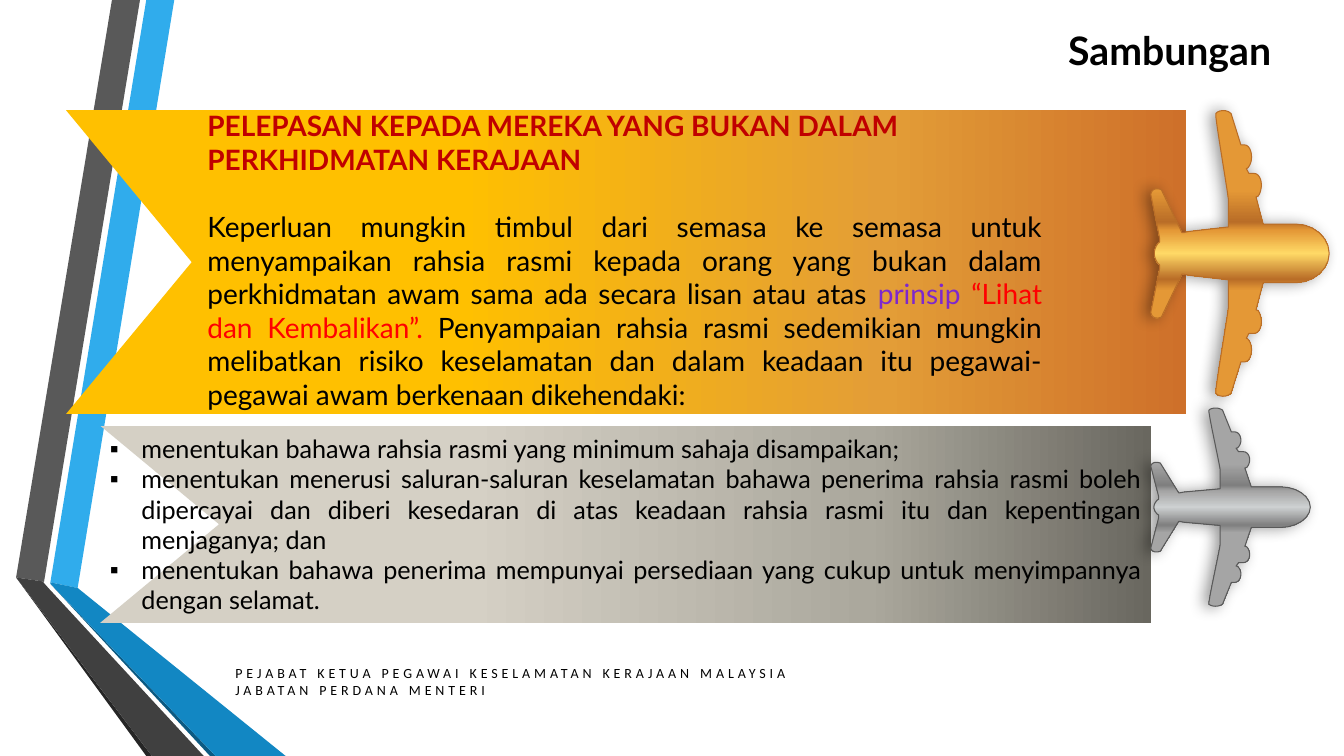
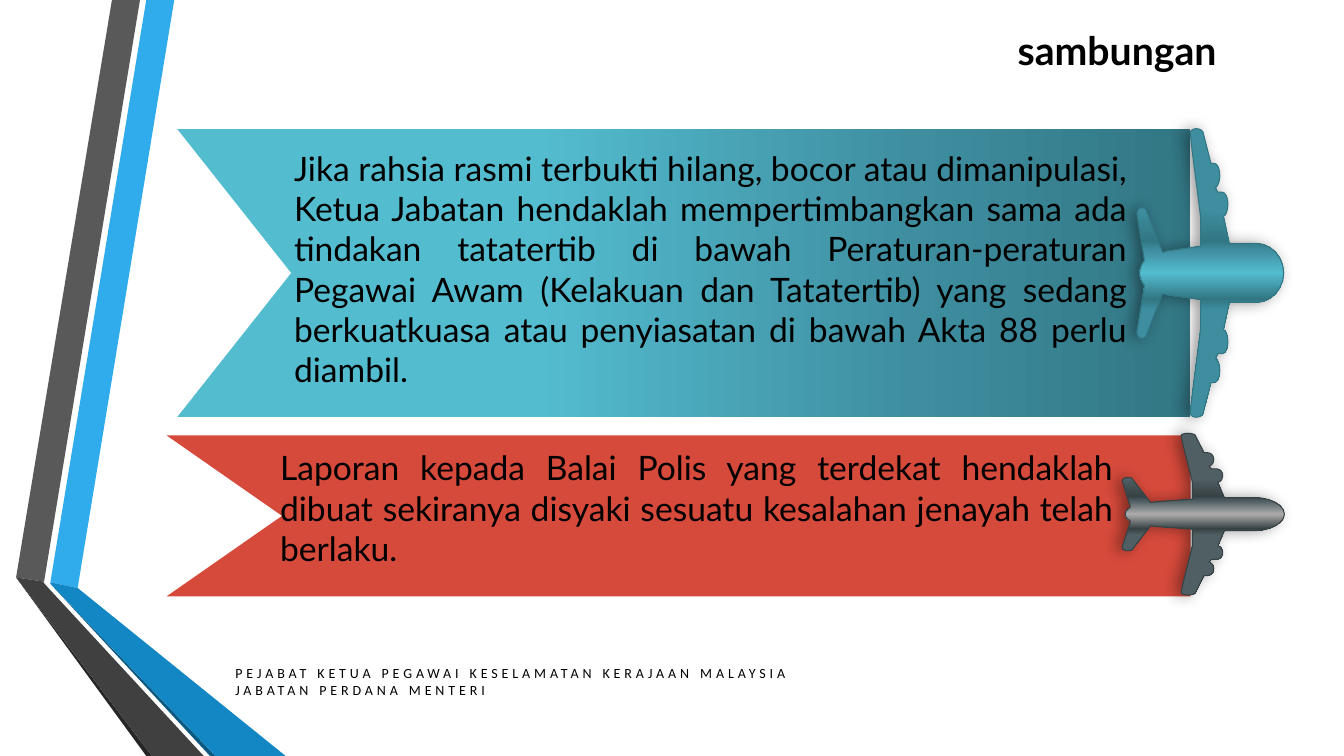
import pptx
import pptx.dml.color
import pptx.enum.text
import pptx.oxml
import pptx.oxml.ns
import pptx.util

Pt = pptx.util.Pt
RGBColor = pptx.dml.color.RGBColor
ALIGN = pptx.enum.text.PP_ALIGN
ANCHOR = pptx.enum.text.MSO_ANCHOR
NAMESPACE = pptx.oxml.ns.nsdecls("a")

COLOURS = {
    "black": "000000", "heading": "C00000", "purple": "7E28CD", "red": "FF0000",
    "blue": "30ACEC", "blue fold": "1287C3", "blue edge": "0C5A82",
    "grey": "595959", "grey fold": "404040", "grey edge": "262626",
    "gold": "FFC000", "amber": "E39D37", "rust": "CE702A",
    "stone": "D5D0C5", "clay": "ABA89D", "slate": "69675F",
    "aqua": "54BCCF", "teal": "3E8EA0", "deep teal": "327683", "brick": "D64A3B",
    "orange": "E49836", "bronze": "B96D27", "yellow": "FFD966",
    "silver": "A5A5A5", "steel": "7F7F7F", "pale": "CDD0D1",
    "iron": "505F63", "dark iron": "374245", "ash": "AEABAB",
}

# Side ribbons, from back to front, in points
RIBBONS = [
    ("blue", [(36, 416), (55.5, 420), (124.5, 0), (104.5, 0)]),
    ("grey", [(100, 0), (80, 0), (11.5, 412.5), (31.5, 415.5)]),
    ("grey edge", [(11.5, 412.5), (104.5, 540), (108.5, 540)]),
    ("blue edge", [(36, 417), (150, 540), (154, 540)]),
    ("blue fold", [(36, 417), (154, 540), (204, 540), (55.5, 420), (36, 416)]),
    ("grey fold", [(145.5, 540), (34.5, 420), (31, 416), (31.5, 415.5),
                   (11.5, 412.5), (108.5, 540)]),
]

# Lower half of an aeroplane from nose to tail: x in percent of the width,
# y in percent of half the height. Six numbers are a Bezier curve.
HALF_PLANE = [
    (100, 0), (100, 11, 91.5, 20.5, 81.5, 20.5), (63, 20.5), (59, 39.5), (60, 40),
    (61, 41, 62, 44.5, 62, 48), (62, 52, 60.5, 56, 58, 56), (55, 56), (53.5, 59.5),
    (54, 59.5), (55.5, 61, 56.5, 64, 56.5, 67.5), (56.5, 72, 55, 76, 52.5, 76),
    (50.5, 76), (45, 98), (42.5, 101, 38, 100.5, 36.5, 98),
    (35.5, 100, 40.5, 63, 43, 42.5), (43.5, 38), (43.5, 18.5), (22.5, 15.5),
    (21.5, 15.5, 20, 15, 18.5, 14.5), (17.5, 14.5), (6, 44.5),
    (4.5, 45.5, 1, 46.5, 0, 41.5), (5, 10.5), (5, 8), (4, 7), (3, 5, 2, 3, 2, 0),
]
CURVE_STEPS = 6
plane_points = []
for step in HALF_PLANE:
    if len(step) == 2:
        plane_points.append(step)
        continue
    x0, y0 = plane_points[-1]
    x1, y1, x2, y2, x3, y3 = step
    for index in range(1, CURVE_STEPS + 1):
        t = index / CURVE_STEPS
        weights = ((1 - t) ** 3, 3 * t * (1 - t) ** 2, 3 * t * t * (1 - t), t ** 3)
        plane_points.append((
            sum(w * x for w, x in zip(weights, (x0, x1, x2, x3))),
            sum(w * y for w, y in zip(weights, (y0, y1, y2, y3)))))
plane_points += [(x, -y) for x, y in reversed(plane_points[1:-1])]

BAND_STOPS = (0, 35, 73, 100)
PLANE_STOPS = (0, 28, 39, 42, 50, 59, 63, 100)

SLIDES = [
    {
        "title": "Sambungan", "title left": 123,
        # left, top, width, height, notch depth, colours, bullets
        "bands": [
            ((71.5, 304, 751, 141, 85), ("stone", "clay", "slate"), [
                "menentukan bahawa rahsia rasmi yang minimum sahaja disampaikan;",
                "menentukan menerusi saluran-saluran keselamatan bahawa penerima rahsia "
                "rasmi boleh dipercayai dan diberi kesedaran di atas keadaan rahsia rasmi "
                "itu dan kepentingan menjaganya; dan",
                "menentukan bahawa penerima mempunyai persediaan yang cukup untuk "
                "menyimpannya dengan selamat.",
            ]),
            ((47, 78.5, 800, 217.5, 90), ("gold", "amber", "rust"), []),
        ],
        "texts": [
            ((141, 74, 610.5, 222), 20, [
                (ALIGN.LEFT, [("PELEPASAN KEPADA MEREKA YANG BUKAN DALAM "
                               "PERKHIDMATAN KERAJAAN", "heading")]),
                (ALIGN.JUSTIFY, [
                    ("Keperluan mungkin timbul dari semasa ke semasa untuk menyampaikan "
                     "rahsia rasmi kepada orang yang bukan dalam perkhidmatan awam sama "
                     "ada secara lisan atau atas ", "black"),
                    ("prinsip ", "purple"),
                    ("“Lihat dan Kembalikan”. ", "red"),
                    ("Penyampaian rahsia rasmi sedemikian mungkin melibatkan risiko "
                     "keselamatan dan dalam keadaan itu pegawai-pegawai awam berkenaan "
                     "dikehendaki:", "black"),
                ]),
            ]),
        ],
        # left, top, width, height, then body, dark and light colours
        "planes": [
            ((822, 79, 127.5, 204), ("orange", "bronze", "yellow"), "bronze"),
            ((822, 291.5, 114, 141.5), ("silver", "steel", "pale"), "grey"),
        ],
    },
    {
        "title": "sambungan", "title left": 84,
        "bands": [
            ((119, 311, 731.5, 115, 82.5), ("brick",), []),
            ((126.5, 92, 723.5, 206, 81.5), ("aqua", "teal", "deep teal"), []),
        ],
        "texts": [
            ((203, 102, 609, 180), 24, [(ALIGN.JUSTIFY, [
                ("Jika rahsia rasmi terbukti hilang, bocor atau dimanipulasi, Ketua Jabatan "
                 "hendaklah mempertimbangkan sama ada tindakan tatatertib di bawah "
                 "Peraturan-peraturan Pegawai Awam (Kelakuan dan Tatatertib) yang sedang "
                 "berkuatkuasa atau penyiasatan di bawah Akta 88 perlu diambil.", "black")])]),
            ((193, 316, 609, 113), 24, [(ALIGN.JUSTIFY, [
                ("Laporan kepada Balai Polis yang terdekat hendaklah dibuat sekiranya "
                 "disyaki sesuatu kesalahan jenayah telah berlaku.", "black")])]),
        ],
        "planes": [
            ((812, 92, 105, 206), ("teal", "deep teal", "aqua"), "deep teal"),
            ((801.5, 309.5, 116, 115.5), ("iron", "dark iron", "ash"), "dark iron"),
        ],
    },
]
FOOTER = ["PEJABAT KETUA PEGAWAI KESELAMATAN KERAJAAN MALAYSIA", "JABATAN PERDANA MENTERI"]


def draw_outline(slide, points, fill, stops=(), angle=0):
    """Draw a closed polygon in one colour, or in a gradient if stops are given."""
    corners = [(Pt(x), Pt(y)) for x, y in points]
    builder = slide.shapes.build_freeform(*corners[0], scale=1.0)
    builder.add_line_segments(corners[1:], close=True)
    shape = builder.convert_to_shape()
    shape.shadow.inherit = False
    shape.line.fill.background()
    if not stops:
        shape.fill.solid()
        shape.fill.fore_color.rgb = RGBColor.from_string(COLOURS[fill[0]])
        return shape
    shape.fill.gradient()
    shape.fill.gradient_angle = angle
    stop_list = shape._element.spPr.find(".//" + pptx.oxml.ns.qn("a:gsLst"))
    for old_stop in list(stop_list):
        stop_list.remove(old_stop)
    for position, name in zip(stops, fill):
        stop_list.append(pptx.oxml.parse_xml(
            f'<a:gs {NAMESPACE} pos="{position * 1000}">'
            f'<a:srgbClr val="{COLOURS[name]}"/></a:gs>'))
    return shape


def add_text(frame, paragraphs, size, font="Lato", bold=False, bullet=False, gap=0, tracking=0):
    """Fill a text frame; each paragraph is an alignment and its (text, colour) runs."""
    frame.word_wrap = True
    for index, (alignment, runs) in enumerate(paragraphs):
        para = frame.add_paragraph() if index else frame.paragraphs[0]
        para.alignment = alignment
        if index and gap:
            para.space_before = Pt(gap)
        if bullet:
            properties = para._p.get_or_add_pPr()
            properties.set("marL", str(Pt(22.5)))
            properties.set("indent", str(-Pt(22.5)))
            for tag in ('buFont {} typeface="Arial"', 'buChar {} char="▪"'):
                properties.append(pptx.oxml.parse_xml(f"<a:{tag.format(NAMESPACE)}/>"))
        for text, colour in runs:
            span = para.add_run()
            span.text = text
            span.font.name = font
            span.font.size = Pt(size)
            span.font.bold = bold or colour == "heading"
            span.font.color.rgb = RGBColor.from_string(COLOURS[colour])
            if tracking:
                span._r.get_or_add_rPr().set("spc", str(int(tracking * 100)))


deck = pptx.Presentation()
deck.slide_width, deck.slide_height = Pt(960), Pt(540)

for page in SLIDES:
    slide = deck.slides.add_slide(deck.slide_layouts[6])
    for colour, points in RIBBONS:
        draw_outline(slide, points, [colour])

    for (left, top, width, height, notch), fill, bullets in page["bands"]:
        right, bottom = left + width, top + height
        points = [(left, top), (right, top), (right, bottom), (left, bottom),
                  (left + notch, top + height / 2)]
        gradient = len(fill) > 1
        band = draw_outline(slide, points, fill[:1] + fill if gradient else fill,
                            BAND_STOPS if gradient else ())
        if bullets:
            band.text_frame.vertical_anchor = ANCHOR.MIDDLE
            add_text(band.text_frame,
                     [(ALIGN.JUSTIFY, [(text, "black")]) for text in bullets],
                     18, bullet=True)

    for place, size, paragraphs in page["texts"]:
        box = slide.shapes.add_textbox(*map(Pt, place))
        add_text(box.text_frame, paragraphs, size, gap=24)

    for (left, top, width, height), (body, dark, light), edge in page["planes"]:
        points = [(left + x * width / 100, top + height / 2 * (1 + y / 100))
                  for x, y in plane_points]
        fill = (body, body, dark, body, light, dark, body, body)
        plane = draw_outline(slide, points, fill, PLANE_STOPS, angle=270)
        plane.line.color.rgb = RGBColor.from_string(COLOURS[edge])
        plane.line.width = Pt(0.75)
        effects = plane._element.spPr.find(pptx.oxml.ns.qn("a:effectLst"))
        effects.append(pptx.oxml.parse_xml(
            f'<a:outerShdw {NAMESPACE} blurRad="{Pt(11)}" dist="{Pt(4)}" dir="10800000">'
            f'<a:srgbClr val="{COLOURS["black"]}"><a:alpha val="40000"/></a:srgbClr>'
            '</a:outerShdw>'))

    footer = slide.shapes.add_textbox(Pt(161), Pt(471), Pt(481), Pt(32))
    add_text(footer.text_frame, [(ALIGN.LEFT, [(text, "black")]) for text in FOOTER],
             10, font="Calibri", tracking=2.8)
    title = slide.shapes.add_textbox(Pt(page["title left"]), Pt(15.5), Pt(792), Pt(57.5))
    add_text(title.text_frame, [(ALIGN.RIGHT, [(page["title"], "black")])], 28, bold=True)

deck.save("out.pptx")
